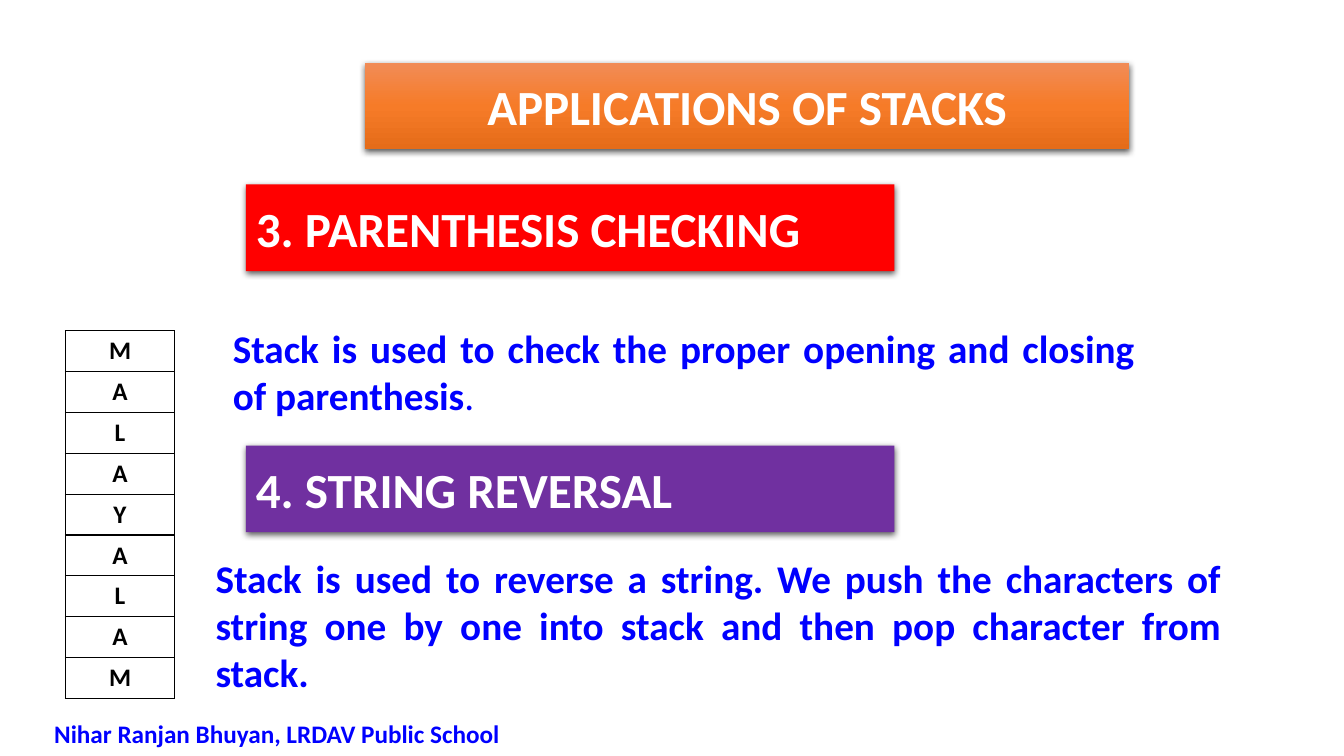
from lxml.etree import SubElement
from pptx import Presentation
from pptx.dml.color import RGBColor
from pptx.enum.shapes import MSO_SHAPE
from pptx.enum.text import MSO_ANCHOR, MSO_AUTO_SIZE, PP_ALIGN
from pptx.oxml.ns import qn
from pptx.util import Inches, Pt

TITLE = ("APPLICATIONS OF STACKS", (27.16, 8.27, 56.86, 11.47))
TITLE_STOPS = [(0, "F18C57"), (50, "F67B28"), (100, "E56C19")]
BANNERS = [
    ("3. PARENTHESIS CHECKING", "FF0000", (18.3, 24.4, 48.24, 11.47)),
    ("4. STRING REVERSAL", "7030A0", (18.3, 58.93, 48.24, 11.47)),
]
TEXTS = [
    ([("Stack is used to check the proper opening and closing of parenthesis", True), (".", False)],
     28, PP_ALIGN.JUSTIFY, (16.58, 42.27, 68.57, 13.87)),
    ([("Stack is used to reverse a string. We push the characters of string one by one "
       "into stack and then pop character from stack.", True)],
     28, PP_ALIGN.JUSTIFY, (15.3, 72.67, 76.29, 20.13)),
    ([("Nihar Ranjan Bhuyan, LRDAV Public School", True)],
     18, PP_ALIGN.LEFT, (3.3, 94.4, 35.78, 5.33)),
]
STACK = "MALAYALAM"
STACK_BOX = (4.88, 43.73, 8.1, 48.67)

presentation = Presentation()
presentation.slide_width, presentation.slide_height = Inches(13.33), Inches(7.5)
slide = presentation.slides.add_slide(presentation.slide_layouts[5])


def color(value):
    return RGBColor.from_string(value)


def place(box):
    sides = (presentation.slide_width, presentation.slide_height) * 2
    return [round(side * share / 100) for side, share in zip(sides, box)]


def set_font(font, size, value, bold=True):
    font.name, font.size, font.bold = "Calibri", Pt(size), bold
    font.color.rgb = color(value)


def add_color(parent, value):
    return SubElement(parent, qn("a:srgbClr"), val=value)


def add_shadow(shape):
    shape.shadow.inherit = False
    effects = shape._element.spPr.find(qn("a:effectLst"))
    shadow = SubElement(effects, qn("a:outerShdw"), blurRad=str(Pt(4.5)), dist=str(Pt(1.5)),
                        dir="5400000", rotWithShape="0")
    SubElement(add_color(shadow, "000000"), qn("a:alpha"), val="63000")


def format_banner(shape, text, alignment):
    shape.line.fill.background()
    add_shadow(shape)
    frame = shape.text_frame
    frame.text = text
    frame.word_wrap = True
    frame.auto_size = MSO_AUTO_SIZE.NONE
    frame.vertical_anchor = MSO_ANCHOR.MIDDLE
    paragraph = frame.paragraphs[0]
    paragraph.alignment = alignment
    properties = paragraph._p.get_or_add_pPr()
    properties.set("marL", str(Inches(0.56)))
    properties.set("indent", str(-Inches(0.56)))
    set_font(paragraph.font, 35.1, "FFFFFF")


def add_title():
    text, box = TITLE
    title = slide.shapes.title
    title.left, title.top, title.width, title.height = place(box)
    title.fill.gradient()
    title.fill.gradient_angle = 270
    stops = title._element.spPr.find(qn("a:gradFill")).find(qn("a:gsLst"))
    stops.clear()
    for position, value in TITLE_STOPS:
        add_color(SubElement(stops, qn("a:gs"), pos=str(position * 1000)), value)
    format_banner(title, text, PP_ALIGN.CENTER)


def add_banner(text, fill, box):
    banner = slide.shapes.add_shape(MSO_SHAPE.RECTANGLE, *place(box))
    banner.fill.solid()
    banner.fill.fore_color.rgb = color(fill)
    format_banner(banner, text, PP_ALIGN.LEFT)


def add_text(runs, size, alignment, box):
    frame = slide.shapes.add_textbox(*place(box)).text_frame
    frame.word_wrap = True
    frame.auto_size = MSO_AUTO_SIZE.SHAPE_TO_FIT_TEXT
    paragraph = frame.paragraphs[0]
    paragraph.alignment = alignment
    for text, bold in runs:
        run = paragraph.add_run()
        run.text = text
        set_font(run.font, size, "0000FF", bold)


def add_borders(cell):
    properties = cell._tc.get_or_add_tcPr()
    for side in ("a:lnL", "a:lnR", "a:lnT", "a:lnB"):
        line = SubElement(properties, qn(side), w=str(Pt(1)))
        add_color(SubElement(line, qn("a:solidFill")), "000000")


def add_stack():
    table = slide.shapes.add_table(len(STACK), 1, *place(STACK_BOX)).table
    table.first_row = table.horz_banding = False
    for row, letter in enumerate(STACK):
        cell = table.cell(row, 0)
        cell.text = letter
        add_borders(cell)
        cell.fill.background()
        paragraph = cell.text_frame.paragraphs[0]
        paragraph.alignment = PP_ALIGN.CENTER
        set_font(paragraph.font, 18, "000000")


add_title()
for banner in BANNERS:
    add_banner(*banner)
for text in TEXTS:
    add_text(*text)
add_stack()
presentation.save("out.pptx")
